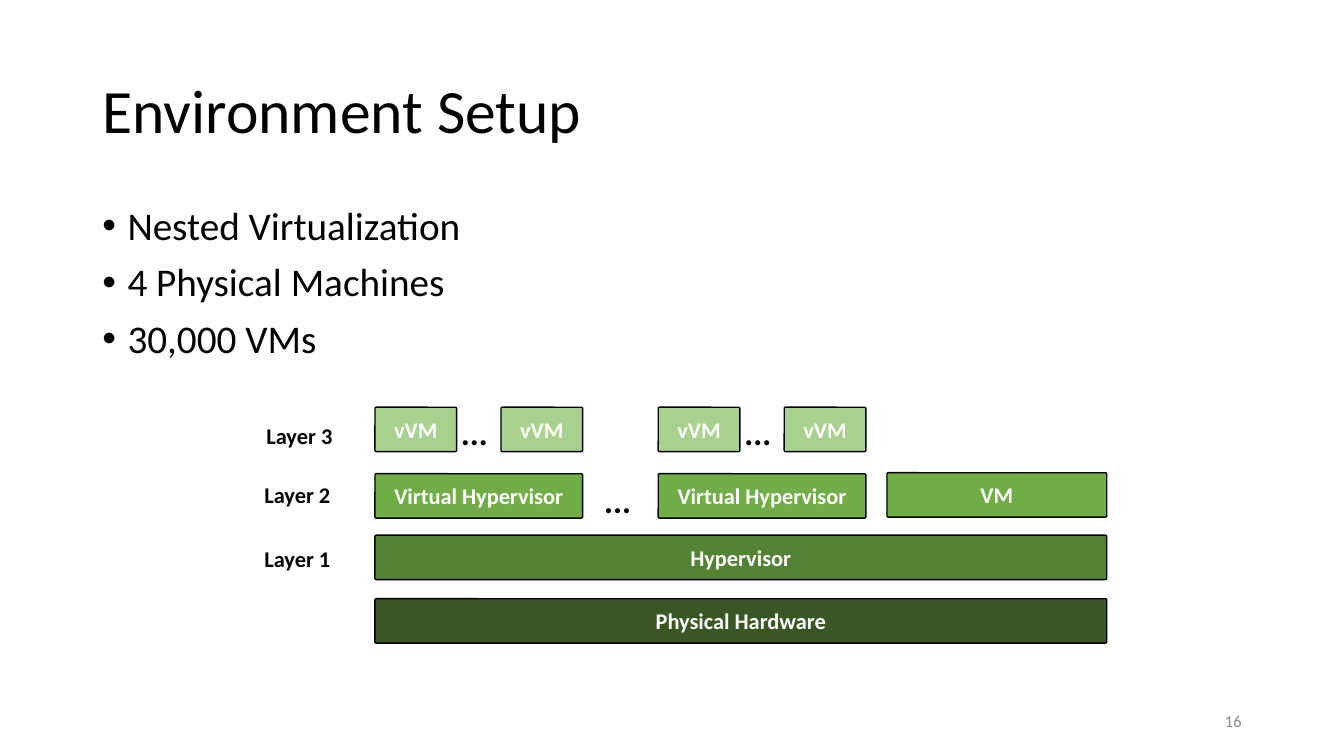
from dataclasses import dataclass

from lxml import etree
from pptx import Presentation
from pptx.dml.color import RGBColor
from pptx.enum.shapes import MSO_SHAPE
from pptx.enum.text import MSO_ANCHOR, PP_ALIGN
from pptx.oxml.ns import qn
from pptx.util import Inches, Pt

ROUNDED = MSO_SHAPE.ROUNDED_RECTANGLE
TOP, MIDDLE = MSO_ANCHOR.TOP, MSO_ANCHOR.MIDDLE
LEFT, CENTER, RIGHT = PP_ALIGN.LEFT, PP_ALIGN.CENTER, PP_ALIGN.RIGHT

SLIDE_WIDTH, SLIDE_HEIGHT = Inches(13.33), Inches(7.5)
COLUMNS, ROWS = 160, 90

COLORS = {
    "text": "000000",
    "number": "8C8C8C",
    "white": "FFFFFF",
    "nested_vm": "A9D18E",
    "layer_2": "70AD47",
    "hypervisor": "548235",
    "hardware": "385723",
}

# Lengths of the diagram, in grid columns and rows
STACK_LEFT, STACK_WIDTH = 44.64, 87.12
STACK_RIGHT = STACK_LEFT + STACK_WIDTH
GROUP_STEP, GROUP_WIDTH = 33.72, 24.72
NESTED_VM_WIDTH, VM_WIDTH = 9.72, 26.16
LABEL_WIDTH, DOTS_WIDTH, DOTS_HEIGHT = 10.56, 6.48, 6
BOX_HEIGHT = 5.28
NESTED_VM_TOP, VIRTUAL_TOP, VM_TOP = 48.48, 56.4, 56.28
HYPERVISOR_TOP, HARDWARE_TOP = 63.72, 71.28


@dataclass(frozen=True)
class Frame:
    """A place on the slide, in grid columns and rows."""
    left: float
    top: float
    width: float
    height: float = BOX_HEIGHT

    def lengths(self) -> tuple[int, int, int, int]:
        column, row = SLIDE_WIDTH / COLUMNS, SLIDE_HEIGHT / ROWS
        return (round(self.left * column), round(self.top * row),
                round(self.width * column), round(self.height * row))


@dataclass(frozen=True)
class Box:
    text: str
    frame: Frame
    fill: str
    color: str = "white"
    align: PP_ALIGN = CENTER
    outlined: bool = True


def group_boxes(left: float) -> list[Box]:
    """A virtual hypervisor with a nested VM above each of its ends."""
    last_left = left + GROUP_WIDTH - NESTED_VM_WIDTH
    nested = [Box("vVM", Frame(vm_left, NESTED_VM_TOP, NESTED_VM_WIDTH), "nested_vm")
              for vm_left in (left, last_left)]
    return nested + [Box("Virtual Hypervisor", Frame(left, VIRTUAL_TOP, GROUP_WIDTH), "layer_2")]


def layer_label(text: str, left: float, top: float) -> Box:
    return Box(text, Frame(left, top, LABEL_WIDTH), "white", "text", RIGHT, outlined=False)


GROUP_LEFTS = [STACK_LEFT + index * GROUP_STEP for index in range(2)]
BOXES = [
    layer_label("Layer 3", 30.24, 49.2),
    layer_label("Layer 2", 30, 56.28),
    layer_label("Layer 1", 30, 63.84),
    *(box for left in GROUP_LEFTS for box in group_boxes(left)),
    Box("VM", Frame(STACK_RIGHT - VM_WIDTH, VM_TOP, VM_WIDTH), "layer_2"),
    Box("Hypervisor", Frame(STACK_LEFT, HYPERVISOR_TOP, STACK_WIDTH), "hypervisor"),
    Box("Physical Hardware", Frame(STACK_LEFT, HARDWARE_TOP, STACK_WIDTH), "hardware"),
]
DOTS = [
    *(Frame(left + 9.12, NESTED_VM_TOP, DOTS_WIDTH, DOTS_HEIGHT) for left in GROUP_LEFTS),
    Frame(70.8, 56.52, DOTS_WIDTH, DOTS_HEIGHT),
]


def add_bullet(paragraph) -> None:
    properties = paragraph._p.get_or_add_pPr()
    properties.set("marL", str(Inches(0.25)))
    properties.set("indent", str(-Inches(0.25)))
    etree.SubElement(properties, qn("a:buFont")).set("typeface", "Arial")
    etree.SubElement(properties, qn("a:buChar")).set("char", "•")


def write_text(shape, text: str, *, size: float, color: str = "text",
               font: str = "Calibri", bold: bool = False, align: PP_ALIGN = LEFT,
               anchor: MSO_ANCHOR = MIDDLE, wrap: bool = True, spacing: float = 1,
               space_before: float = 0, bulleted: bool = False) -> None:
    """Write one paragraph for each line of the text."""
    text_frame = shape.text_frame
    text_frame.text = text
    text_frame.word_wrap = wrap
    text_frame.vertical_anchor = anchor
    for paragraph in text_frame.paragraphs:
        paragraph.alignment = align
        paragraph.line_spacing = spacing
        paragraph.space_before = Pt(space_before)
        if bulleted:
            add_bullet(paragraph)
        for run in paragraph.runs:
            run.font.name = font
            run.font.size = Pt(size)
            run.font.bold = bold
            run.font.color.rgb = RGBColor.from_string(COLORS[color])


def add_text(slide, text: str, frame: Frame, **text_format) -> None:
    write_text(slide.shapes.add_textbox(*frame.lengths()), text, **text_format)


def add_box(slide, box: Box) -> None:
    shape = slide.shapes.add_shape(ROUNDED, *box.frame.lengths())
    shape.adjustments[0] = 0.03
    shape.shadow.inherit = False
    shape.fill.solid()
    shape.fill.fore_color.rgb = RGBColor.from_string(COLORS[box.fill])
    if box.outlined:
        shape.line.color.rgb = RGBColor.from_string(COLORS["text"])
        shape.line.width = Pt(1)
    else:
        shape.line.fill.background()
    write_text(shape, box.text, size=16, color=box.color, bold=True, align=box.align)


def main() -> None:
    presentation = Presentation()
    presentation.slide_width, presentation.slide_height = SLIDE_WIDTH, SLIDE_HEIGHT
    slide = presentation.slides.add_slide(presentation.slide_layouts[6])

    add_text(slide, "Environment Setup", Frame(11, 4.8, 138, 17.4), size=44, spacing=0.9)
    add_text(slide, "Nested Virtualization\n4 Physical Machines\n30,000 VMs",
             Frame(11, 24, 68, 57.12), size=28, anchor=TOP, spacing=0.9,
             space_before=10, bulleted=True)
    add_text(slide, "16", Frame(113, 83.4, 36, 4.8), size=12, color="number", align=RIGHT)

    for box in BOXES:
        add_box(slide, box)
    for frame in DOTS:
        add_text(slide, "…", frame, size=24, font="Lato", bold=True, anchor=TOP, wrap=False)

    presentation.save("out.pptx")


if __name__ == "__main__":
    main()
